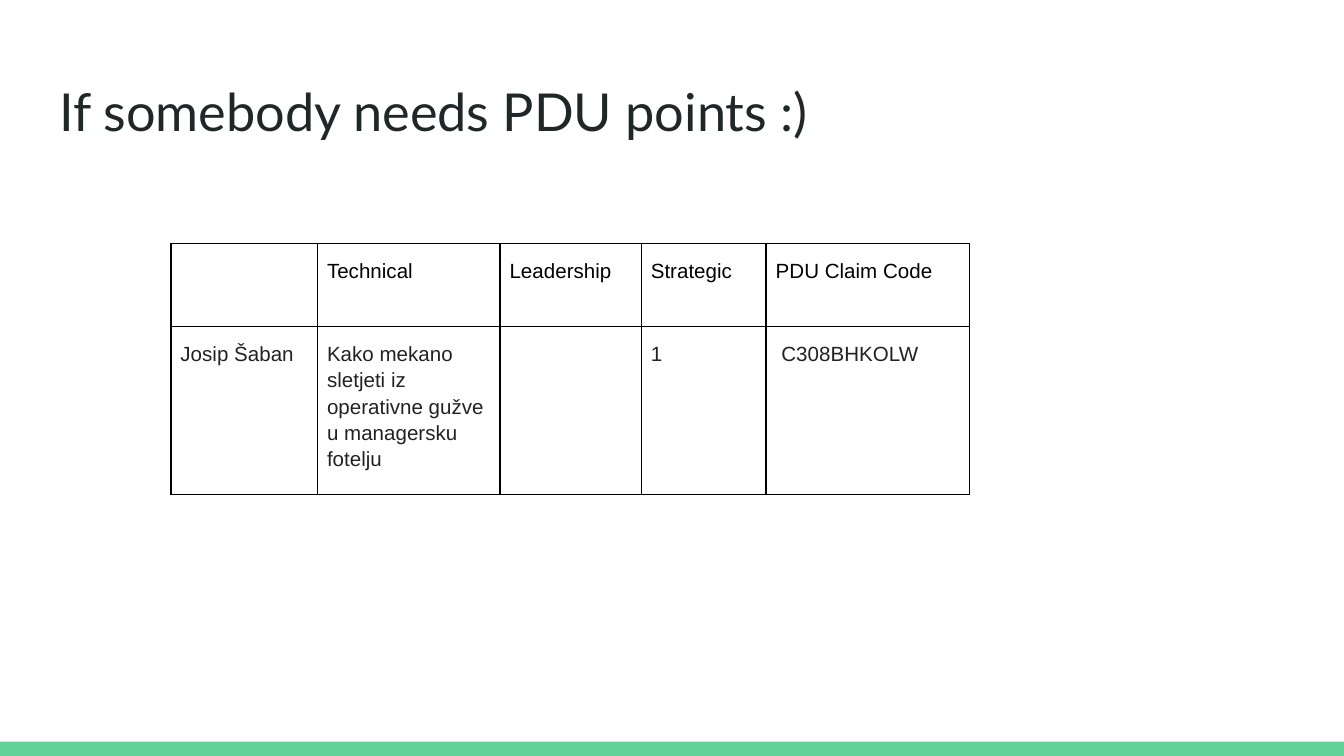
import pptx
import pptx.util
import pptx.dml.color
import pptx.enum.shapes
import pptx.oxml.ns
from lxml import etree
from pptx.util import Cm, Pt

COLORS = {
    "green": "63D297",
    "title": "202729",
    "head": "000000",
    "body": "222222",
    "line": "000000",
    "cell": "FFFFFF",
}
WIDTHS = [2.77, 3.45, 2.67, 2.36, 3.84]
HEIGHTS = [1.57, 2.99]
ROWS = [
    ["", "Technical", "Leadership", "Strategic", "PDU Claim Code"],
    ["Josip Šaban",
     "Kako mekano sletjeti iz operativne gužve u managersku fotelju",
     "", "1", " C308BHKOLW"],
]


def color(name):
    return pptx.dml.color.RGBColor.from_string(COLORS[name])


def style(frame, font, size, tint):
    for para in frame.paragraphs:
        para.font.size = Pt(size)
        for run in para.runs:
            run.font.name = font
            run.font.size = Pt(size)
            run.font.color.rgb = color(tint)


def add_bar(slide):
    bar = slide.shapes.add_shape(
        pptx.enum.shapes.MSO_SHAPE.RECTANGLE, 0, Cm(14.02), Cm(25.4), Cm(0.27))
    bar.shadow.inherit = False
    bar.fill.solid()
    bar.fill.fore_color.rgb = color("green")
    bar.line.fill.background()


def add_title(slide, text):
    box = slide.shapes.add_textbox(Cm(0.87), Cm(1.24), Cm(23.67), Cm(1.6))
    frame = box.text_frame
    frame.word_wrap = True
    frame.margin_left = frame.margin_right = Cm(0.25)
    frame.margin_top = frame.margin_bottom = Cm(0.25)
    frame.text = text
    style(frame, "Lato", 28, "title")


def add_edges(cell):
    qn = pptx.oxml.ns.qn
    props = cell._tc.get_or_add_tcPr()
    for side in ("lnL", "lnR", "lnT", "lnB"):
        edge = etree.SubElement(props, qn("a:" + side), w=str(Pt(1)))
        fill = etree.SubElement(edge, qn("a:solidFill"))
        etree.SubElement(fill, qn("a:srgbClr"), val=COLORS["line"])


def fill_cell(cell, text, tint):
    cell.margin_left = cell.margin_right = Cm(0.18)
    cell.margin_top = cell.margin_bottom = Cm(0.25)
    add_edges(cell)
    cell.fill.solid()
    cell.fill.fore_color.rgb = color("cell")
    cell.text_frame.text = text
    cell.text_frame.paragraphs[0].line_spacing = 1.15
    style(cell.text_frame, "Arial", 11, tint)


def add_grid(slide):
    grid = slide.shapes.add_table(
        len(ROWS), len(WIDTHS), Cm(3.23), Cm(4.6),
        Cm(sum(WIDTHS)), Cm(sum(HEIGHTS))).table
    for col, width in zip(grid.columns, WIDTHS):
        col.width = Cm(width)
    for row, height, texts, tint in zip(
            grid.rows, HEIGHTS, ROWS, ("head", "body")):
        row.height = Cm(height)
        for cell, text in zip(row.cells, texts):
            fill_cell(cell, text, tint)


def main():
    deck = pptx.Presentation()
    deck.slide_width = Cm(25.4)
    deck.slide_height = Cm(14.29)
    slide = deck.slides.add_slide(deck.slide_layouts[6])
    add_bar(slide)
    add_title(slide, "If somebody needs PDU points :)")
    add_grid(slide)
    deck.save("out.pptx")


if __name__ == "__main__":
    main()
